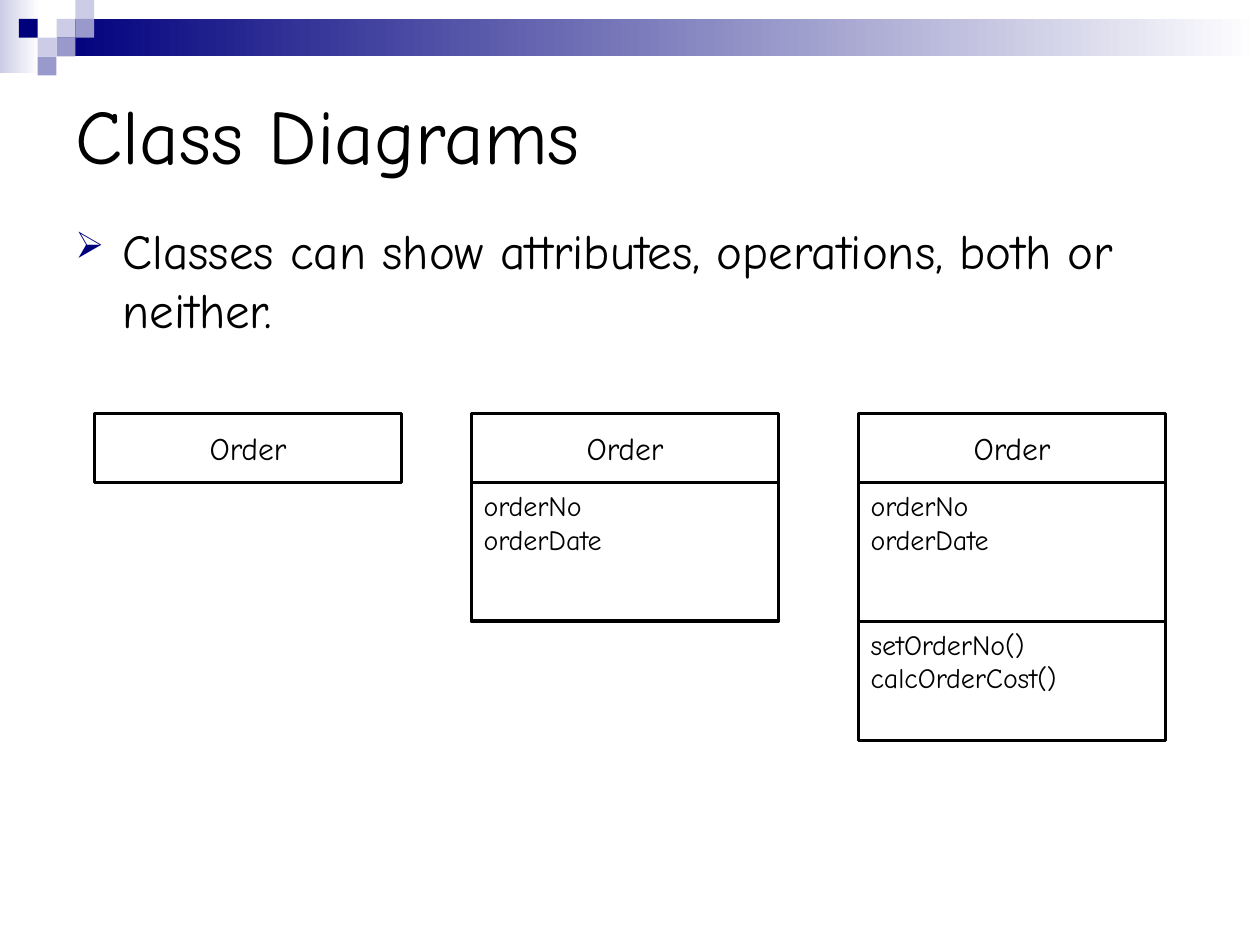
from dataclasses import dataclass

from lxml import etree
from pptx import Presentation
from pptx import util as u
from pptx.dml.color import RGBColor
from pptx.enum import shapes, text
from pptx.oxml.ns import qn


@dataclass(frozen=True)
class Theme:
    font: str = "Comic Neue"
    ink: str = "000000"
    navy: str = "00007D"
    mid: str = "9999CC"
    pale: str = "CCCCE6"
    white: str = "FFFFFF"
    title: float = 44
    body: float = 28
    name: float = 18
    member: float = 16
    line: float = 1.75


@dataclass(frozen=True)
class Box:
    """A rectangle in centimetres."""
    x: float
    y: float
    w: float
    h: float

    def lengths(self) -> tuple:
        return tuple(u.Cm(v) for v in (self.x, self.y, self.w, self.h))


@dataclass(frozen=True)
class Tile:
    col: int
    row: int
    color: str


@dataclass(frozen=True)
class Compartment:
    members: tuple[str, ...]
    height: float
    text_width: float


@dataclass(frozen=True)
class UmlClass:
    x: float
    name: str
    compartments: tuple[Compartment, ...] = ()


T = Theme()
TILE = 0.38
TILES = (
    Tile(2, 1, T.pale), Tile(3, 0, T.pale), Tile(3, 1, T.mid), Tile(1, 2, T.pale),
    Tile(0, 1, T.navy), Tile(2, 2, T.mid), Tile(1, 3, T.mid),
)

CLASS_TOP, CLASS_WIDTH, NAME_HEIGHT = 8.33, 6.2, 1.4
NAME_INSET, NAME_DROP = 0.8, 0.2
ATTRIBUTES = Compartment(("orderNo", "orderDate"), 2.79, 4.6)
OPERATIONS = Compartment(("setOrderNo()", "calcOrderCost()"), 2.41, 5.41)
CLASSES = (
    UmlClass(1.9, "Order"),
    UmlClass(9.5, "Order", (ATTRIBUTES,)),
    UmlClass(17.3, "Order", (ATTRIBUTES, OPERATIONS)),
)


def rgb(color: str) -> RGBColor:
    return RGBColor.from_string(color)


def add_rect(slide, box: Box):
    sp = slide.shapes.add_shape(shapes.MSO_SHAPE.RECTANGLE, *box.lengths())
    sp.shadow.inherit = False
    return sp


def add_tile(slide, tile: Tile) -> None:
    sp = add_rect(slide, Box(0.38 + tile.col * TILE, tile.row * TILE, TILE, TILE))
    sp.fill.solid()
    sp.fill.fore_color.rgb = rgb(tile.color)
    sp.line.fill.background()


def add_fade(slide, box: Box, color: str) -> None:
    """Draw a band that fades to white from left to right."""
    sp = add_rect(slide, box)
    sp.fill.gradient()
    sp.fill.gradient_angle = 0
    for stop, (position, shade) in zip(sp.fill.gradient_stops, ((0, color), (1, T.white))):
        stop.position = position
        stop.color.rgb = rgb(shade)
    sp.line.fill.background()


def add_text(slide, box: Box, lines: tuple[str, ...], size: float,
             align=text.PP_ALIGN.LEFT, anchor=text.MSO_ANCHOR.TOP):
    tf = slide.shapes.add_textbox(*box.lengths()).text_frame
    tf.word_wrap = True
    tf.vertical_anchor = anchor
    tf.text = "\n".join(lines)
    for p in tf.paragraphs:
        p.alignment = align
        p.font.name = T.font
        p.font.size = u.Pt(size)
        p.font.color.rgb = rgb(T.ink)
    return tf


def add_bullet(p, char: str, color: str, percent: int, indent: float) -> None:
    pPr = p._p.get_or_add_pPr()
    pPr.set("marL", str(u.Cm(indent)))
    pPr.set("indent", str(-u.Cm(indent)))
    bullet_color = etree.Element(qn("a:buClr"))
    etree.SubElement(bullet_color, qn("a:srgbClr"), val=color)
    bullet_size = etree.Element(qn("a:buSzPct"), val=str(percent * 1000))
    bullet_char = etree.Element(qn("a:buChar"), char=char)
    for i, element in enumerate((bullet_color, bullet_size, bullet_char)):
        pPr.insert(i, element)


def style_line(line) -> None:
    line.color.rgb = rgb(T.ink)
    line.width = u.Pt(T.line)


def add_divider(slide, x: float, y: float) -> None:
    c = slide.shapes.add_connector(
        shapes.MSO_CONNECTOR.STRAIGHT, u.Cm(x), u.Cm(y), u.Cm(x + CLASS_WIDTH), u.Cm(y))
    style_line(c.line)
    etree.SubElement(c._element.spPr, qn("a:effectLst"))


def add_class(slide, uml: UmlClass) -> None:
    height = NAME_HEIGHT + sum(c.height for c in uml.compartments)
    sp = add_rect(slide, Box(uml.x, CLASS_TOP, CLASS_WIDTH, height))
    sp.fill.background()
    style_line(sp.line)
    name_box = Box(uml.x + NAME_INSET, CLASS_TOP + NAME_DROP, CLASS_WIDTH - 2 * NAME_INSET, 1.02)
    add_text(slide, name_box, (uml.name,), T.name, text.PP_ALIGN.CENTER)
    y = CLASS_TOP + NAME_HEIGHT
    for part in uml.compartments:
        add_divider(slide, uml.x, y)
        add_text(slide, Box(uml.x, y, part.text_width, 1.63), part.members, T.member)
        y += part.height


def main() -> None:
    prs = Presentation()
    prs.slide_width, prs.slide_height = u.Cm(25.4), u.Cm(19.05)
    slide = prs.slides.add_slide(prs.slide_layouts[6])

    add_fade(slide, Box(0, 0, 0.79, 1.47), T.pale)
    add_fade(slide, Box(1.14, 0.38, 24.26, 0.76), T.navy)
    for tile in TILES:
        add_tile(slide, tile)

    add_text(slide, Box(1.27, 1.27, 22.86, 2.84), ("Class Diagrams",), T.title,
             anchor=text.MSO_ANCHOR.MIDDLE)
    tf = add_text(slide, Box(1.27, 4.32, 23.24, 3),
                  ("Classes can show attributes, operations, both or neither.",), T.body)
    p = tf.paragraphs[0]
    p.space_before = u.Pt(7)
    add_bullet(p, "➢", T.navy, 75, 0.95)

    for uml in CLASSES:
        add_class(slide, uml)
    prs.save("out.pptx")


if __name__ == "__main__":
    main()
